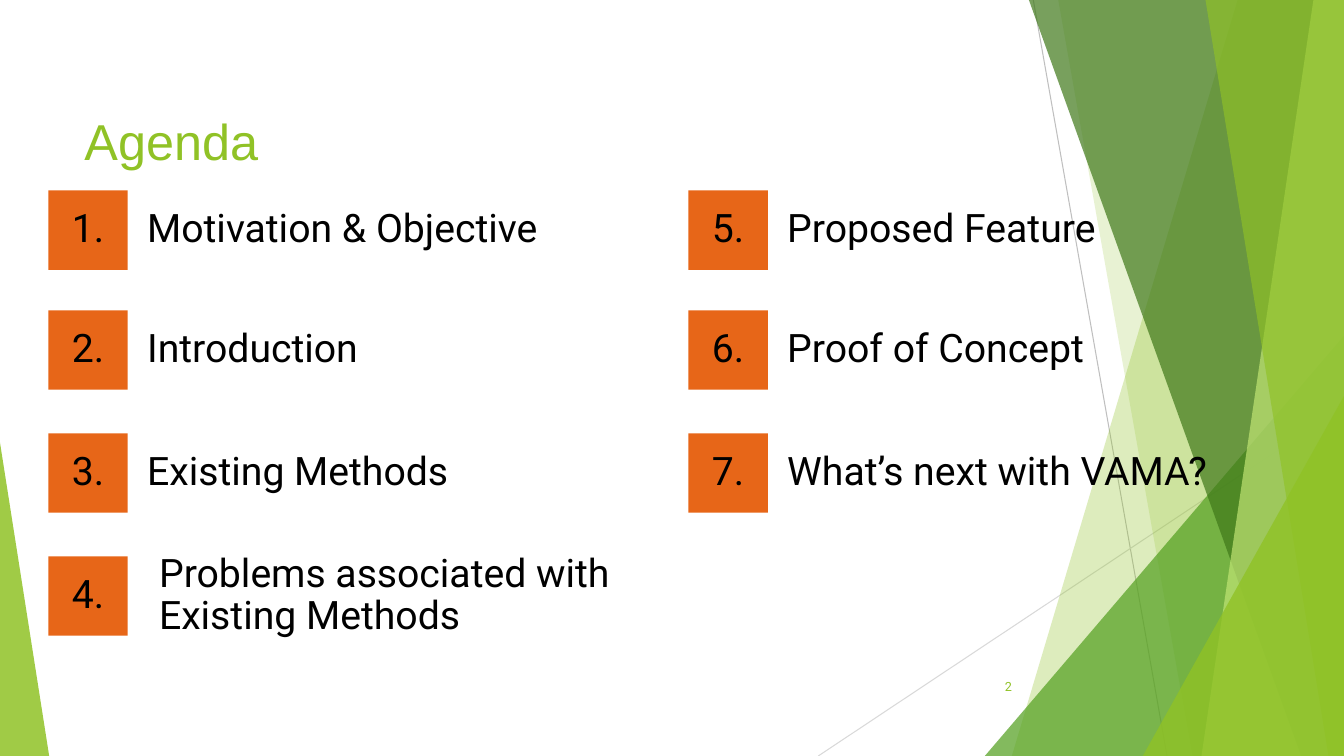
from pptx import Presentation
from pptx.dml.color import RGBColor
from pptx.enum.shapes import MSO_CONNECTOR, MSO_SHAPE
from pptx.enum.text import MSO_ANCHOR as ANCHOR, PP_ALIGN as ALIGN
from pptx.oxml.ns import qn
from pptx.util import Cm, Pt
from lxml.etree import SubElement

W, H = 33.87, 19.05
COLORS = {
    "lime": "90C226", "green": "54A021", "forest": "3F7819", "pale": "C0E474",
    "orange": "E76618", "black": "000000", "grey": "BFBFBF", "light": "D9D9D9",
}
TILE = 2.0
ROWS = [0, 3.02, 6.12, 9.22]
COLUMN_GAP = 16.13
# Label and extra indent
AGENDA = [
    ("Motivation & Objective", 0), ("Introduction", 0), ("Existing Methods", 0),
    ("Problems associated with Existing Methods", 0.3),
    ("Proposed Feature", 0), ("Proof of Concept", 0), ("What’s next with VAMA?", 0),
]
# Top x, bottom x, colour, opacity; each facet reaches the right edge
BACK_FACETS = [(31.19, 25.5, "lime", 30), (26.67, 30.05, "lime", 20)]
FRONT_FACETS = [(25.93, 32.79, "forest", 70), (33.1, 30.28, "pale", 70),
                (30.38, 33.48, "lime", 65)]


def rgb(name):
    return RGBColor.from_string(COLORS[name])


def paint(sp, color, opacity=100):
    sp.shadow.inherit = False
    sp.fill.solid()
    sp.fill.fore_color.rgb = rgb(color)
    sp.line.fill.background()
    if opacity < 100:
        clr = sp.fill._xPr.find(qn("a:solidFill"))[0]
        SubElement(clr, qn("a:alpha")).set("val", str(opacity * 1000))


def add_line(s, x1, y1, x2, y2, color):
    c = s.shapes.add_connector(MSO_CONNECTOR.STRAIGHT, Cm(x1), Cm(y1), Cm(x2), Cm(y2))
    c.line.color.rgb = rgb(color)
    c.line.width = Pt(0.75)
    SubElement(c._element.spPr, qn("a:effectLst"))


def add_facet(s, top_x, bottom_x, color, opacity):
    fb = s.shapes.build_freeform(Cm(top_x), 0)
    fb.add_line_segments([(Cm(W), 0), (Cm(W), Cm(H)), (Cm(bottom_x), Cm(H))], close=True)
    paint(fb.convert_to_shape(), color, opacity)


def add_corner(s, x, y, w, apex, color, opacity):
    sp = s.shapes.add_shape(MSO_SHAPE.ISOSCELES_TRIANGLE, Cm(x), Cm(y), Cm(w), Cm(H - y))
    sp.adjustments[0] = apex
    paint(sp, color, opacity)


def write(sp, text, size, color="black", font="Roboto", align=ALIGN.LEFT, spacing=None):
    tf = sp.text_frame
    tf.word_wrap = True
    tf.vertical_anchor = ANCHOR.MIDDLE
    p = tf.paragraphs[0]
    p.alignment = align
    p.line_spacing = spacing
    r = p.add_run()
    r.text = text
    r.font.size = Pt(size)
    r.font.name = font
    r.font.color.rgb = rgb(color)
    return tf


def add_text(s, x, y, w, h, text, size, **style):
    sp = s.shapes.add_textbox(Cm(x), Cm(y), Cm(w), Cm(h))
    write(sp, text, size, **style)


def add_backdrop(s):
    add_line(s, 26.04, 0, 29.41, H, "grey")
    add_line(s, W, 10.24, 20.62, H, "light")
    for facet in BACK_FACETS:
        add_facet(s, *facet)
    add_corner(s, 24.82, 8.46, W - 24.82, 1, "green", 72)
    for facet in FRONT_FACETS:
        add_facet(s, *facet)
    add_corner(s, 28.8, 9.98, W - 28.8, 1, "lime", 80)
    add_corner(s, 0, 11.15, 1.24, 0, "lime", 85)


def add_item(s, x, y, number, label, indent):
    # Numbered tile
    sp = s.shapes.add_shape(MSO_SHAPE.RECTANGLE, Cm(x), Cm(y), Cm(TILE), Cm(TILE))
    paint(sp, "orange")
    tf = write(sp, f"{number}.", 28, align=ALIGN.CENTER, spacing=0.9)
    tf.margin_left = tf.margin_right = tf.margin_top = tf.margin_bottom = 0
    tf.paragraphs[0].space_before = Pt(10)
    # Label
    add_text(s, x + TILE + 0.24 + indent, y, 13.18, TILE, label, 28, spacing=0.9)


def add_agenda(s, x, y):
    for i, (label, indent) in enumerate(AGENDA):
        col, row = divmod(i, len(ROWS))
        add_item(s, x + col * COLUMN_GAP, y + ROWS[row], i + 1, label, indent)


def main():
    prs = Presentation()
    prs.slide_width, prs.slide_height = Cm(W), Cm(H)
    s = prs.slides.add_slide(prs.slide_layouts[6])
    add_backdrop(s)
    # Title and slide number
    add_text(s, 1.88, 1.7, 23.88, 3.66, "Agenda", 36, color="lime", font="Arial")
    add_text(s, 23.85, 16.79, 1.9, 1.02, "2", 9, color="lime", align=ALIGN.RIGHT)
    add_agenda(s, 1.22, 4.8)
    prs.save("out.pptx")


if __name__ == "__main__":
    main()
